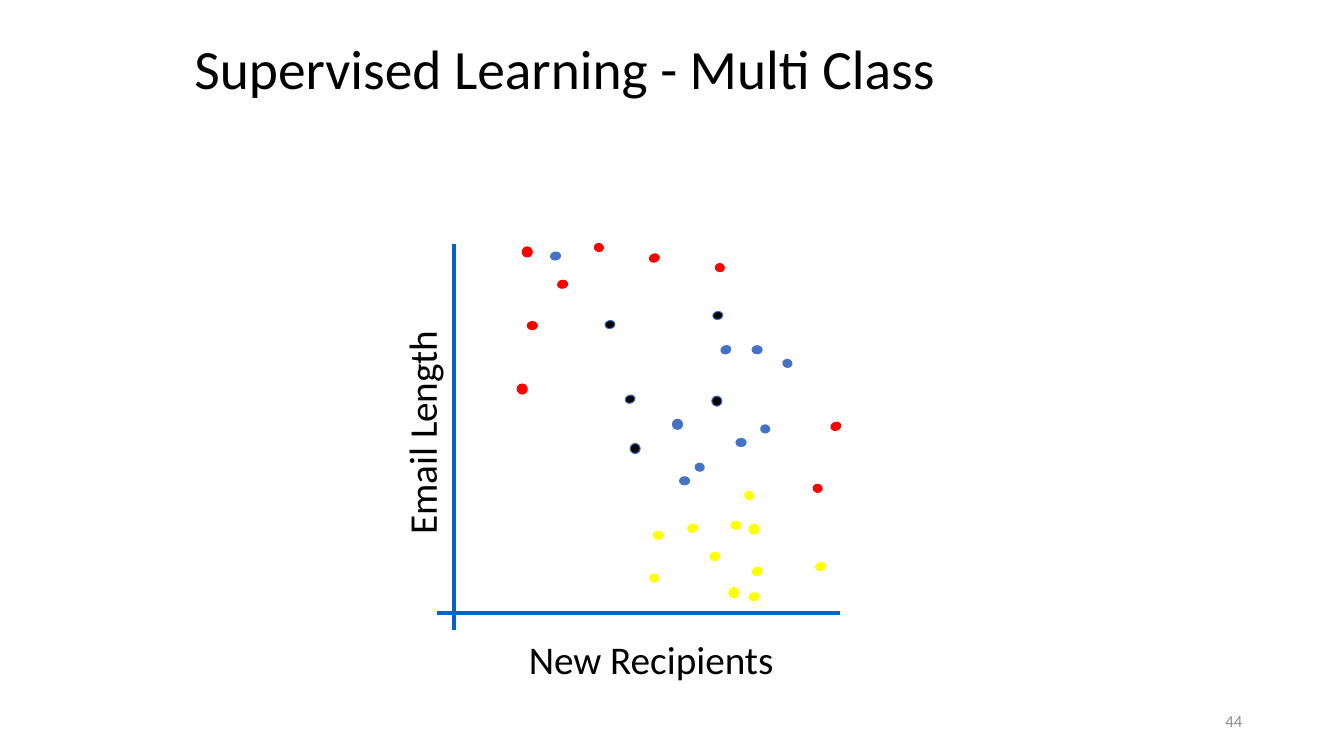
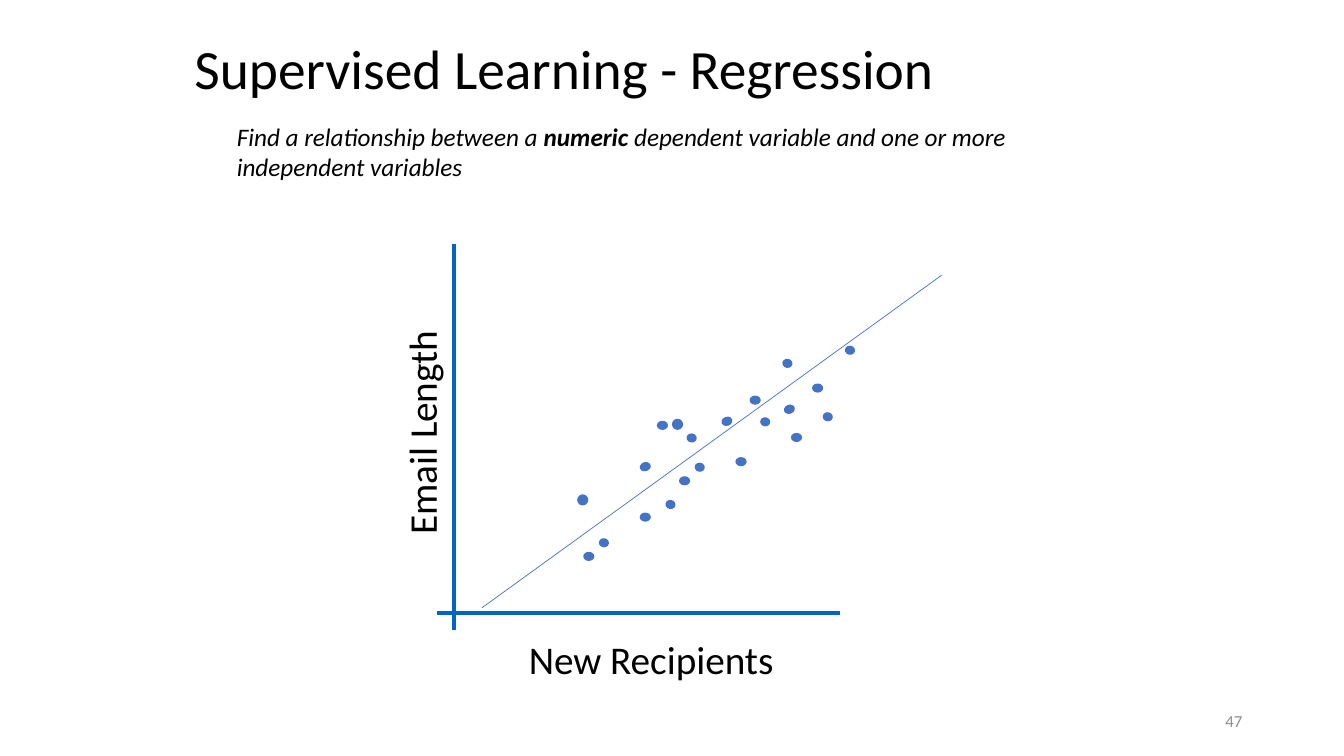
"""Build two supervised learning slides: multi-class scatter and regression."""
from lxml import etree
from pptx import Presentation
from pptx.dml.color import RGBColor
from pptx.enum.shapes import MSO_CONNECTOR, MSO_SHAPE
from pptx.enum.text import MSO_ANCHOR as ANCHOR, PP_ALIGN as ALIGN
from pptx.oxml.ns import qn
from pptx.util import Inches, Pt

FONT = "Calibri"
COLORS = {
    "text": "000000", "muted": "8C8C8C", "axis": "0563C1", "red": "FF0000",
    "blue": "4472C4", "black": "000000", "yellow": "FFFF00",
}
OUTLINES = {"black": "blue"}

DOT_KINDS = {
    "flat": (0.1, 0.08, 0),
    "tilted": (0.1, 0.08, 341.4),
    "steep": (0.08, 0.09, 98.3),
    "wide": (0.08, 0.1, 79.6),
    "round": (0.1, 0.1, 0),
}

CLASS_DOTS = {
    "red": {
        "flat": [(5.23, 3.19)],
        "tilted": [(6.44, 2.52), (8.24, 4.19)],
        "steep": [(7.1, 2.61), (8.07, 4.8), (5.9, 2.41)],
        "wide": [(5.54, 2.77)],
        "round": [(5.18, 2.45), (5.13, 3.81)],
    },
    "blue": {
        "flat": [(7.3, 4.35), (7.46, 3.43), (6.74, 4.73)],
        "tilted": [(7.15, 3.43)],
        "steep": [(6.9, 4.59), (7.55, 4.21), (7.77, 3.56)],
        "wide": [(5.47, 2.49)],
        "round": [(6.67, 4.16)],
    },
    "black": {
        "tilted": [(6.2, 3.92)],
        "wide": [(6.01, 3.17), (7.08, 3.08)],
        "round": [(7.06, 3.93), (6.25, 4.4)],
    },
    "yellow": {
        "flat": [(6.48, 5.27), (7.25, 5.17)],
        "tilted": [(7.46, 5.63), (6.82, 5.2), (8.09, 5.58)],
        "steep": [(7.39, 4.87), (6.45, 5.69)],
        "wide": [(7.44, 5.87), (7.05, 5.47)],
        "round": [(7.43, 5.2), (7.23, 5.83)],
    },
}

REGRESSION_DOTS = {
    "blue": {
        "flat": [(7.3, 4.54), (7.44, 3.93), (6.74, 4.73), (6.35, 5.09),
                 (6.52, 4.18), (5.79, 5.48), (7.85, 4.3), (8.06, 3.81)],
        "tilted": [(7.16, 4.14), (6.35, 4.59), (7.78, 4.02)],
        "steep": [(6.9, 4.59), (7.55, 4.14), (7.77, 3.56), (5.95, 5.34),
                  (6.61, 4.96), (6.82, 4.3), (8.17, 4.09), (8.39, 3.43)],
        "round": [(6.67, 4.16), (5.73, 4.91)],
    },
}


def rgb(name):
    return RGBColor.from_string(COLORS[name])


def add_text(slide, box, runs, size, color="text", align=ALIGN.LEFT,
             anchor=ANCHOR.TOP, rotation=0, italic=False):
    sp = slide.shapes.add_textbox(*map(Inches, box))
    sp.rotation = rotation
    tf = sp.text_frame
    tf.word_wrap = True
    tf.vertical_anchor = anchor
    p = tf.paragraphs[0]
    p.alignment = align
    for text, bold in runs:
        r = p.add_run()
        r.text = text
        r.font.name = FONT
        r.font.size = Pt(size)
        r.font.bold = bold
        r.font.italic = italic
        r.font.color.rgb = rgb(color)
    return p


def add_line(slide, start, end, color, width):
    line = slide.shapes.add_connector(
        MSO_CONNECTOR.STRAIGHT, *map(Inches, start + end))
    line.line.color.rgb = rgb(color)
    line.line.width = Pt(width)
    etree.SubElement(line._element.spPr, qn("a:effectLst"))


def add_dot(slide, left, top, kind, color):
    width, height, rotation = DOT_KINDS[kind]
    sp = slide.shapes.add_shape(
        MSO_SHAPE.OVAL, *map(Inches, (left, top, width, height)))
    sp.rotation = rotation
    sp.shadow.inherit = False
    sp.fill.solid()
    sp.fill.fore_color.rgb = rgb(color)
    sp.line.color.rgb = rgb(OUTLINES.get(color, color))
    sp.line.width = Pt(0.75)


def add_scatter(slide, dots):
    add_line(slide, (4.5, 2.42), (4.5, 6.25), "axis", 3)
    add_line(slide, (4.33, 6.08), (8.33, 6.08), "axis", 3)
    for color, kinds in dots.items():
        for kind, points in kinds.items():
            for left, top in points:
                add_dot(slide, left, top, kind, color)
    add_text(slide, (4.91, 6.25, 2.86, 0.57), [("New Recipients", False)], 28,
             align=ALIGN.RIGHT)
    add_text(slide, (2.75, 4.33, 2.86, 0.57), [("Email Length", False)], 28,
             align=ALIGN.RIGHT, rotation=270)


def add_slide(prs, title, number):
    slide = prs.slides.add_slide(prs.slide_layouts[6])
    p = add_text(slide, (1.83, 0.33, 8.69, 0.75), [(title, False)], 39.6,
                 anchor=ANCHOR.MIDDLE)
    p.line_spacing = 0.9
    add_text(slide, (9.42, 6.95, 3, 0.4), [(number, False)], 12, "muted",
             ALIGN.RIGHT, ANCHOR.MIDDLE)
    return slide


def main():
    prs = Presentation()
    prs.slide_width, prs.slide_height = Inches(13.33), Inches(7.5)

    slide = add_slide(prs, "Supervised Learning - Multi Class", "44")
    add_scatter(slide, CLASS_DOTS)

    slide = add_slide(prs, "Supervised Learning - Regression", "47")
    definition = [
        ("Find a relationship between a ", False),
        ("numeric", True),
        (" dependent variable and one or more independent variables", False),
    ]
    add_text(slide, (2.25, 1.15, 8.91, 0.71), definition, 18, italic=True)
    add_scatter(slide, REGRESSION_DOTS)
    add_line(slide, (4.78, 6.03), (9.34, 2.73), "blue", 0.5)

    prs.save("out.pptx")


if __name__ == "__main__":
    main()
